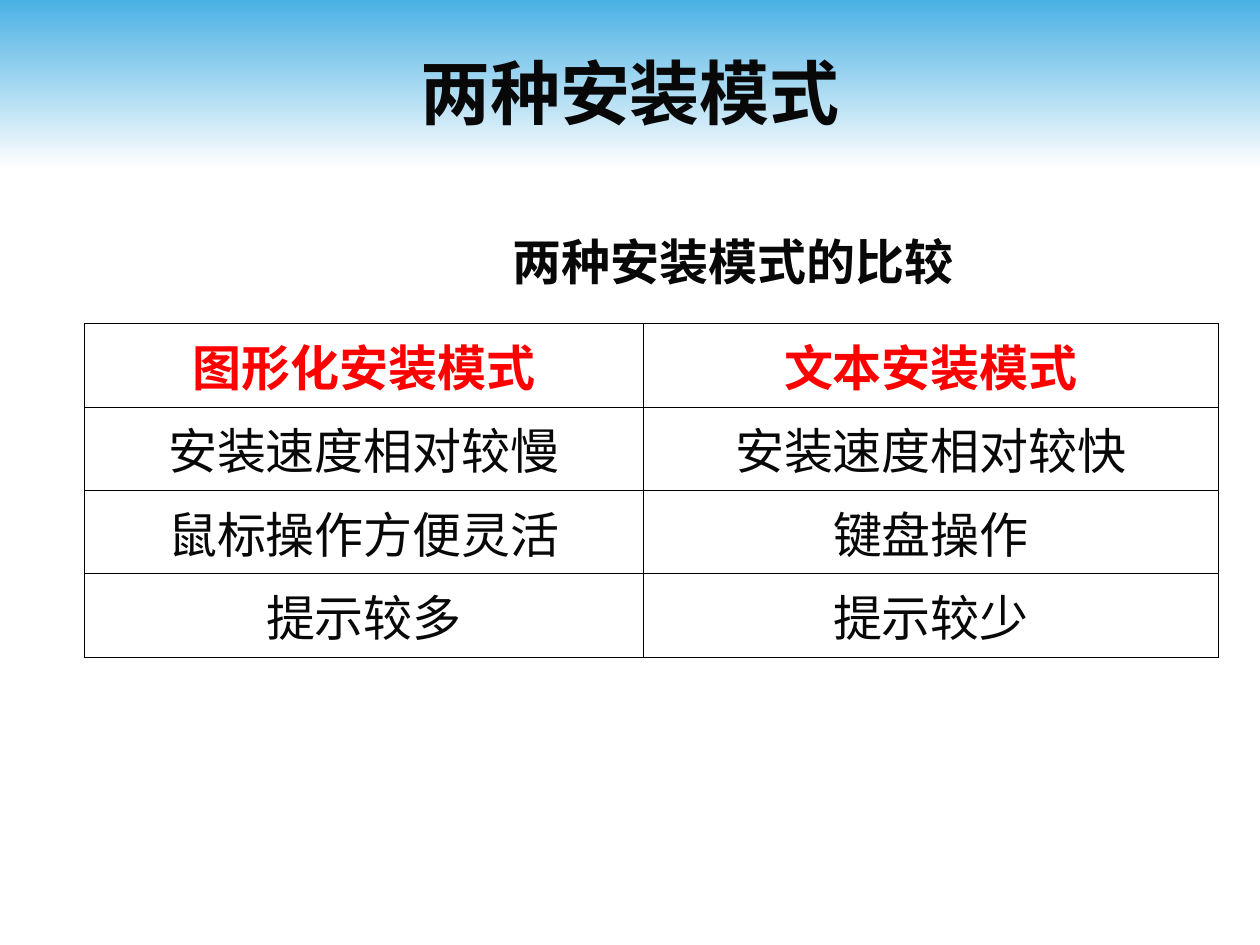
from lxml.etree import SubElement
from pptx import Presentation
from pptx.dml.color import RGBColor
from pptx.enum.shapes import MSO_SHAPE
from pptx.enum.text import MSO_ANCHOR, PP_ALIGN
from pptx.oxml.ns import qn
from pptx.util import Cm, Pt

SKY = RGBColor(0x4A, 0xB1, 0xE4)
OFF_WHITE = RGBColor(0xFE, 0xFE, 0xFE)
INK = RGBColor(0x08, 0x08, 0x08)
RED = RGBColor(0xFF, 0x00, 0x00)

COMPARISON = [
    ("图形化安装模式", "文本安装模式"),
    ("安装速度相对较慢", "安装速度相对较快"),
    ("鼠标操作方便灵活", "键盘操作"),
    ("提示较多", "提示较少"),
]


def add_run(paragraph, text, size, font_name, color, bold):
    """Add a centred run of text."""
    paragraph.alignment = PP_ALIGN.CENTER
    run = paragraph.add_run()
    run.text = text
    run.font.size = Pt(size)
    run.font.name = font_name
    run.font.color.rgb = color
    run.font.bold = bold
    SubElement(run.font._element, qn("a:ea"), typeface="Noto Sans CJK SC")


def add_borders(cell):
    properties = cell._tc.get_or_add_tcPr()
    for side in ("a:lnL", "a:lnR", "a:lnT", "a:lnB"):
        border = SubElement(properties, qn(side), w=str(Pt(0.45)))
        fill = SubElement(border, qn("a:solidFill"))
        SubElement(fill, qn("a:srgbClr"), val="000000")


prs = Presentation()
prs.slide_width = Cm(25.4)
prs.slide_height = Cm(19.05)
slide = prs.slides.add_slide(prs.slide_layouts[6])

# Header band
band = slide.shapes.add_shape(MSO_SHAPE.RECTANGLE, 0, 0, prs.slide_width, Cm(3.38))
band.shadow.inherit = False
band.line.fill.background()
band.fill.gradient()
band.fill.gradient_angle = 270
for stop, color, position in zip(band.fill.gradient_stops, (SKY, OFF_WHITE), (0, 1)):
    stop.color.rgb = color
    stop.position = position

# Comparison table
table = slide.shapes.add_table(
    len(COMPARISON), 2, Cm(1.7), Cm(6.52), Cm(22.86), Cm(5.76)).table
table.first_row = False
table.horz_banding = False
for column, width in zip(table.columns, (11.27, 11.59)):
    column.width = Cm(width)
for row_index, row_texts in enumerate(COMPARISON):
    is_header = row_index == 0
    for column_index, text in enumerate(row_texts):
        cell = table.cell(row_index, column_index)
        add_borders(cell)
        cell.fill.background()
        add_run(cell.text_frame.paragraphs[0], text, 28, "Times New Roman",
                RED if is_header else INK, is_header)

# Table caption, set to the right of the box centre by its left inset
caption = slide.shapes.add_textbox(Cm(7.11), Cm(4.55), Cm(12.34), Cm(1.44)).text_frame
caption.word_wrap = True
caption.vertical_anchor = MSO_ANCHOR.MIDDLE
caption.margin_left = Cm(3)
caption.margin_right = 0
add_run(caption.paragraphs[0], "两种安装模式的比较", 28, "Noto Sans CJK SC", INK, True)

# Slide title
title = slide.shapes.add_textbox(Cm(1.27), Cm(0.64), Cm(22.86), Cm(2.41)).text_frame
title.word_wrap = True
title.vertical_anchor = MSO_ANCHOR.MIDDLE
add_run(title.paragraphs[0], "两种安装模式", 40, "Arial", INK, True)

prs.save("out.pptx")
